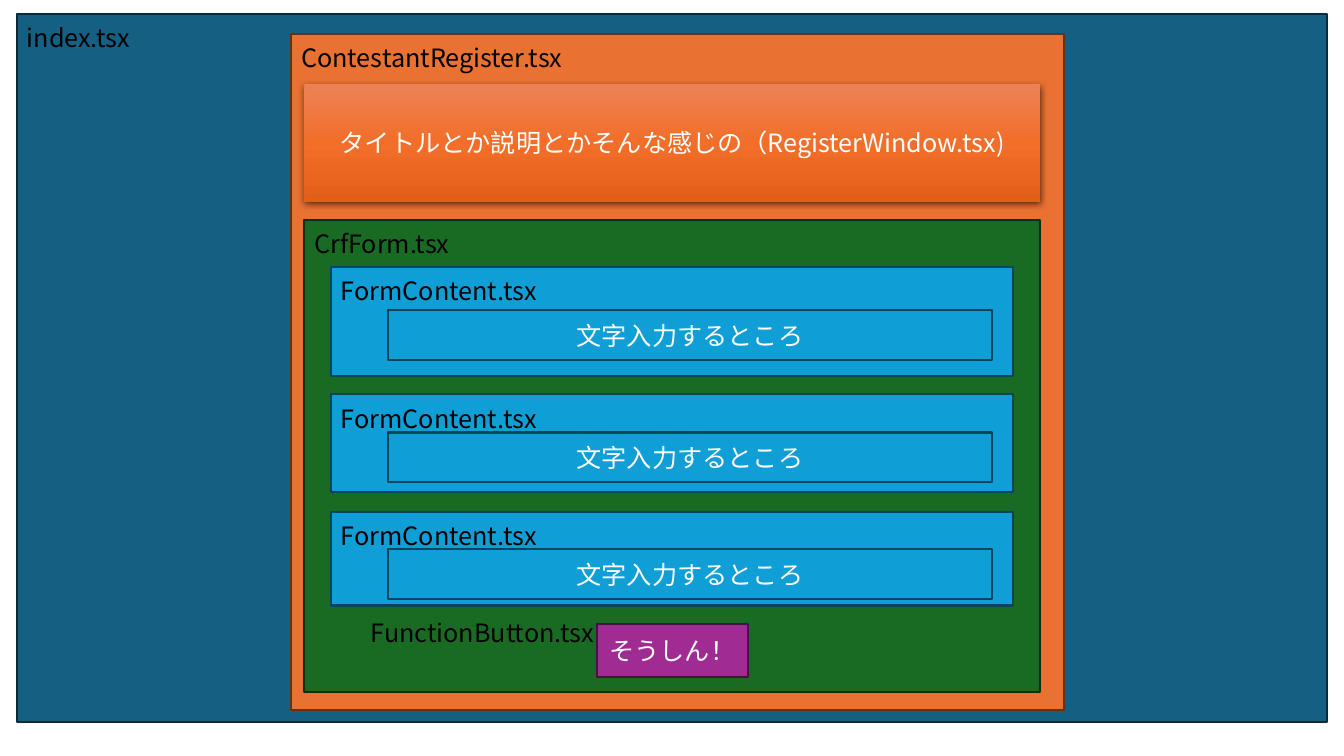
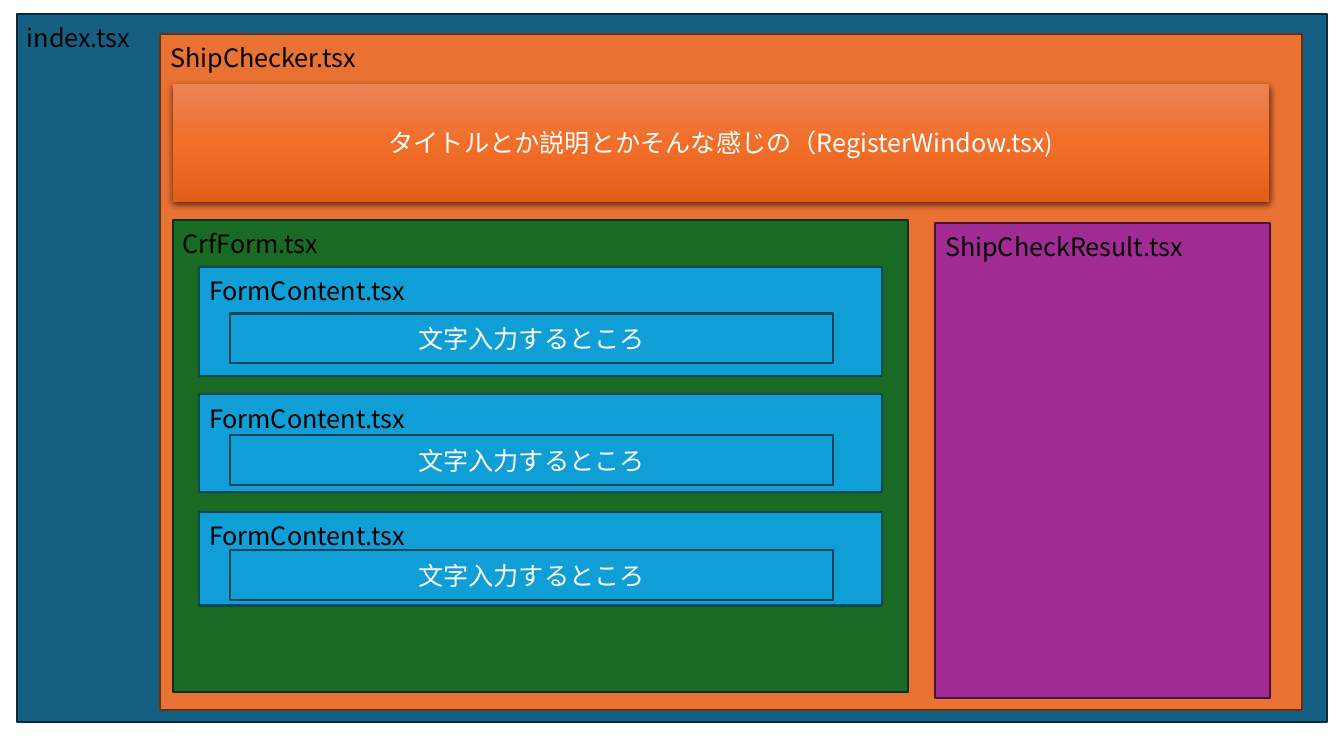
"""Draw two nested component diagrams for the form pages."""
from copy import deepcopy
from dataclasses import dataclass

from lxml import etree
from pptx import Presentation
from pptx import util as u
from pptx.dml.color import RGBColor
from pptx.enum import shapes, text
from pptx.oxml.ns import qn

FONT = "Noto Sans CJK JP"
BLACK, WHITE = "000000", "FFFFFF"
NAVY = ("156082", "092A39")
ORANGE = ("E97132", "663216")
GREEN = ("196B24", "0B2F10")
BLUE = ("0F9ED5", "07455D")
PURPLE = ("A02B93", "461340")
GRADIENT = ((0, "ED8257"), (0.5, "F26E29"), (1, "E25F1A"))
BANNER_TEXT = "タイトルとか説明とかそんな感じの（RegisterWindow.tsx)"
INPUT_TEXT = "文字入力するところ"
LABEL_W, LABEL_H = 7.26, 1.02


@dataclass(frozen=True)
class Box:
    x: float
    y: float
    w: float
    h: float


@dataclass(frozen=True)
class Row:
    y: float
    h: float
    label_dy: float = 0.08


@dataclass(frozen=True)
class Page:
    name: str
    frame: Box
    form_x: float
    banner_w: float
    input_x: float
    input_ys: tuple[float, ...]


ROWS = (Row(6.73, 2.74), Row(9.93, 2.46, 0.1), Row(12.9, 2.36))
REGISTER = Page("ContestantRegister.tsx", Box(7.34, 0.86, 19.48, 17.04),
                7.67, 18.54, 9.78, (7.82, 10.9, 13.84))
CHECKER = Page("ShipChecker.tsx", Box(4.04, 0.86, 28.78, 17.04),
               4.35, 27.64, 5.79, (7.9, 10.97, 13.87))


def rgb(value: str) -> RGBColor:
    return RGBColor.from_string(value)


def lengths(box: Box) -> list[u.Cm]:
    return [u.Cm(v) for v in (box.x, box.y, box.w, box.h)]


def write(tf, content: str, color: str, align) -> None:
    tf.word_wrap = True
    p = tf.paragraphs[0]
    p.alignment = align
    r = p.add_run()
    r.text = content
    r.font.size = u.Pt(18)
    r.font.name = FONT
    r.font.color.rgb = rgb(color)
    etree.SubElement(r.font._element, qn("a:ea"), typeface=FONT)


def add_label(s, x: float, y: float, content: str, w: float = LABEL_W) -> None:
    sp = s.shapes.add_textbox(*lengths(Box(x, y, w, LABEL_H)))
    write(sp.text_frame, content, BLACK, text.PP_ALIGN.LEFT)
    sp.text_frame.auto_size = text.MSO_AUTO_SIZE.SHAPE_TO_FIT_TEXT


def add_rect(s, box: Box, content: str = ""):
    sp = s.shapes.add_shape(shapes.MSO_SHAPE.RECTANGLE, *lengths(box))
    sp.shadow.inherit = False
    if content:
        sp.text_frame.vertical_anchor = text.MSO_ANCHOR.MIDDLE
        write(sp.text_frame, content, WHITE, text.PP_ALIGN.CENTER)
    return sp


def add_panel(s, box: Box, colors: tuple[str, str], content: str = "") -> None:
    sp = add_rect(s, box, content)
    sp.fill.solid()
    sp.fill.fore_color.rgb = rgb(colors[0])
    sp.line.color.rgb = rgb(colors[1])
    sp.line.width = u.Pt(1.5)


def add_component(s, box: Box, colors: tuple[str, str], name: str,
                  label_dy: float = 0.08) -> None:
    add_panel(s, box, colors)
    add_label(s, box.x, box.y + label_dy, name)


def add_banner(s, box: Box) -> None:
    sp = add_rect(s, box, BANNER_TEXT)
    sp.line.fill.background()
    sp.fill.gradient()
    sp.fill.gradient_angle = 270
    props = sp.element.spPr
    stops = props.find(".//" + qn("a:gsLst"))
    stops.append(deepcopy(stops[0]))
    for stop, (position, color) in zip(sp.fill.gradient_stops, GRADIENT):
        stop.position = position
        stop.color.rgb = rgb(color)
    shadow = etree.SubElement(
        props.find(qn("a:effectLst")), qn("a:outerShdw"), blurRad=str(u.Pt(4.5)),
        dist=str(u.Pt(1.5)), dir="5400000", algn="ctr", rotWithShape="0")
    color = etree.SubElement(shadow, qn("a:srgbClr"), val=BLACK)
    etree.SubElement(color, qn("a:alpha"), val="63000")


def add_page(prs, page: Page):
    s = prs.slides.add_slide(prs.slide_layouts[6])
    add_panel(s, Box(0.43, 0.36, 33.02, 17.83), NAVY)
    add_component(s, page.frame, ORANGE, page.name)
    add_label(s, 0.43, 0.43, "index.tsx", 5.66)
    add_component(s, Box(page.form_x, 5.54, 18.54, 11.91), GREEN, "CrfForm.tsx")
    add_banner(s, Box(page.form_x, 2.11, page.banner_w, 2.97))
    for row, input_y in zip(ROWS, page.input_ys):
        add_component(s, Box(page.form_x + 0.67, row.y, 17.2, row.h), BLUE,
                      "FormContent.tsx", row.label_dy)
        add_panel(s, Box(page.input_x, input_y, 15.21, 1.25), BLUE, INPUT_TEXT)
    return s


def main() -> None:
    prs = Presentation()
    prs.slide_width, prs.slide_height = u.Cm(33.87), u.Cm(19.05)
    s = add_page(prs, REGISTER)
    add_panel(s, Box(15.04, 15.72, 3.81, 1.35), PURPLE, "そうしん！")
    add_label(s, 9.09, 15.44, "FunctionButton.tsx")
    s = add_page(prs, CHECKER)
    add_component(s, Box(23.57, 5.62, 8.43, 11.96), PURPLE, "ShipCheckResult.tsx")
    prs.save("out.pptx")


if __name__ == "__main__":
    main()
